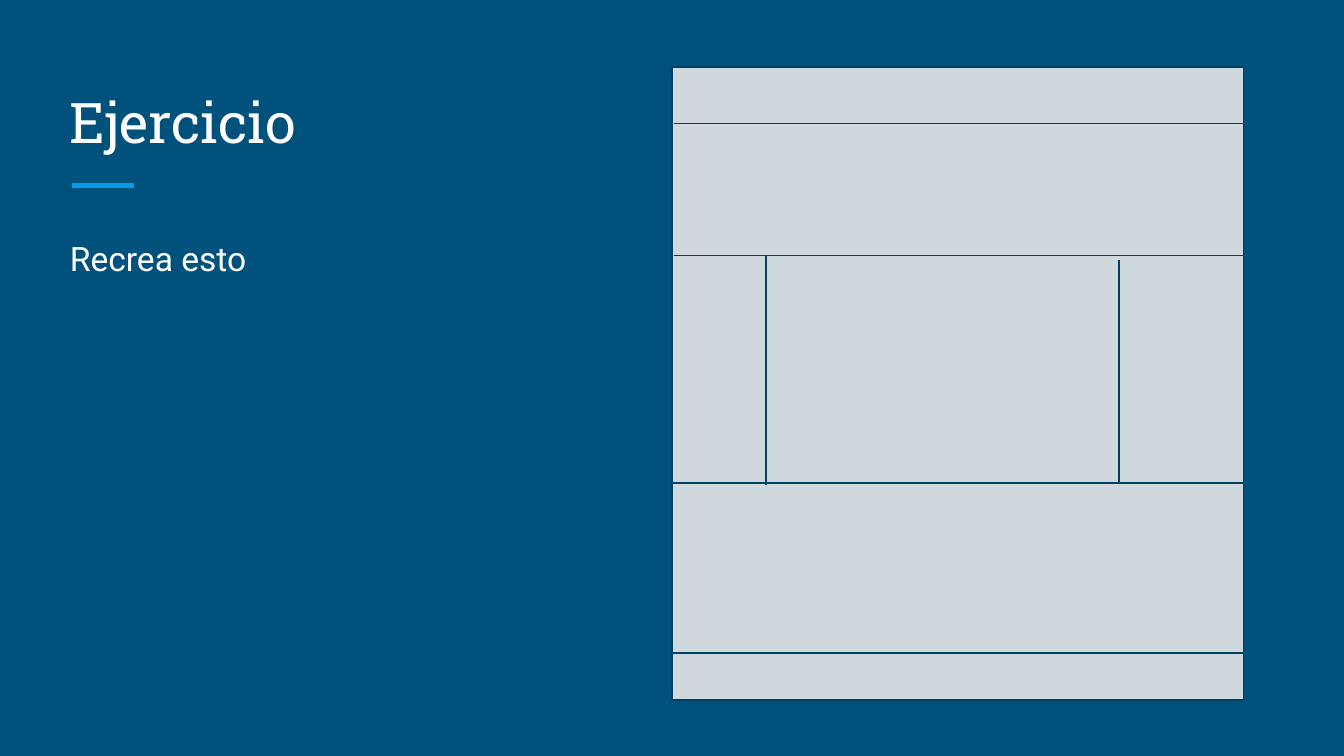
from pptx import Presentation
from pptx import util as u
from pptx.dml import color
from pptx.enum import shapes, text
from pptx.oxml import ns, xmlchemy

theme = {
    "background": "00517C", "accent": "039BE5", "panel": "CFD8DC",
    "outline": "004065", "text": "FFFFFF",
    "title_font": "Roboto Slab", "body_font": "Roboto",
    "title_size": 30, "body_size": 18, "thin": 0.75, "thick": 3,
}


def rgb(name):
    return color.RGBColor.from_string(theme[name])


def add_line(s, x1, y1, x2, y2, line_color="outline", width="thin"):
    c = s.shapes.add_connector(shapes.MSO_CONNECTOR.STRAIGHT,
                               u.Cm(x1), u.Cm(y1), u.Cm(x2), u.Cm(y2))
    c.line.color.rgb = rgb(line_color)
    c.line.width = u.Pt(theme[width])
    c._element.spPr.append(xmlchemy.OxmlElement("a:effectLst"))


prs = Presentation()
prs.slide_width, prs.slide_height = u.Cm(25.4), u.Cm(14.29)
s = prs.slides.add_slide(prs.slide_layouts[1])
s.background.fill.solid()
s.background.fill.fore_color.rgb = rgb("background")

# Accent rule under the title
add_line(s, 1.37, 3.51, 2.54, 3.51, "accent", "thick")

# Title and body
anchors = text.MSO_ANCHOR
blocks = [
    (s.shapes.title, "Ejercicio", "title", (1.07, 1.27, 23.24, 1.9), anchors.BOTTOM,
     {"line_spacing": 1.0, "space_after": u.Pt(0)}),
    (s.placeholders[1], "Recrea esto", "body", (1.07, 4.14, 8.38, 8.56), anchors.TOP,
     {"line_spacing": 1.15, "space_after": u.Pt(12)}),
]
for sp, words, role, box, anchor, spacing in blocks:
    for side, value in zip(("left", "top", "width", "height"), box):
        setattr(sp, side, u.Cm(value))
    tf = sp.text_frame
    for side in ("left", "top", "right", "bottom"):
        setattr(tf, f"margin_{side}", u.Cm(0.25))
    tf.word_wrap = True
    tf.auto_size = text.MSO_AUTO_SIZE.NONE
    tf.vertical_anchor = anchor
    p = tf.paragraphs[0]
    paragraph_format = {"alignment": text.PP_ALIGN.LEFT,
                        "space_before": u.Pt(0), **spacing}
    for key, value in paragraph_format.items():
        setattr(p, key, value)
    pPr = p._p.get_or_add_pPr()
    pPr.set("marL", "0")
    pPr.set("indent", "0")
    pPr.append(pPr.makeelement(ns.qn("a:buNone"), {}))
    r = p.add_run()
    r.text = words
    run_format = {"name": theme[f"{role}_font"], "size": u.Pt(theme[f"{role}_size"])}
    for key, value in run_format.items():
        setattr(r.font, key, value)
    r.font.color.rgb = rgb("text")

# Page wireframe panel
panel = s.shapes.add_shape(shapes.MSO_SHAPE.RECTANGLE,
                           u.Cm(12.7), u.Cm(1.27), u.Cm(10.8), u.Cm(11.96))
panel.shadow.inherit = False
panel.fill.solid()
panel.fill.fore_color.rgb = rgb("panel")
panel.line.color.rgb = rgb("outline")
panel.line.width = u.Pt(theme["thin"])

# Horizontal section dividers
for x, y in [(12.73, 2.33), (12.7, 12.34), (12.73, 4.83), (12.7, 9.13)]:
    add_line(s, x, y, 23.5, y)

# Vertical column dividers
for x, top, bottom in [(14.48, 4.83, 9.17), (21.15, 4.92, 9.13)]:
    add_line(s, x, top, x, bottom)

prs.save("out.pptx")
